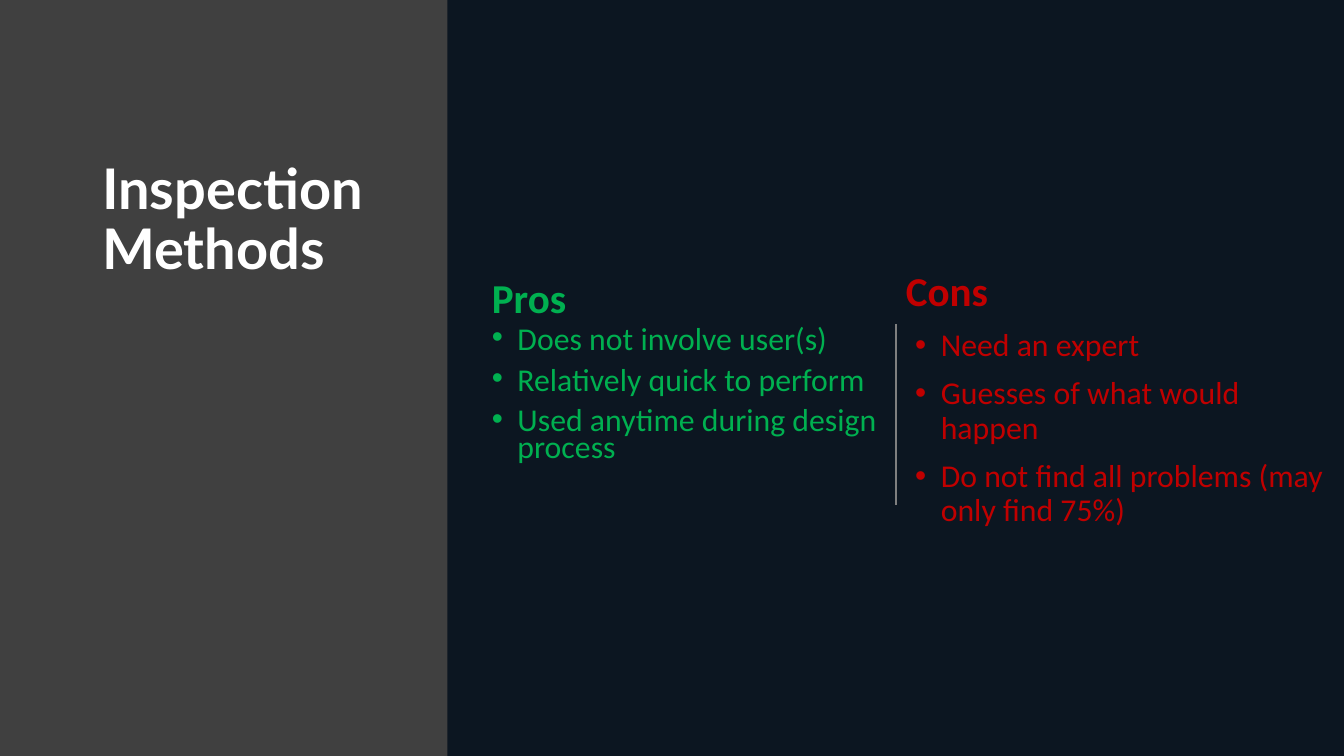
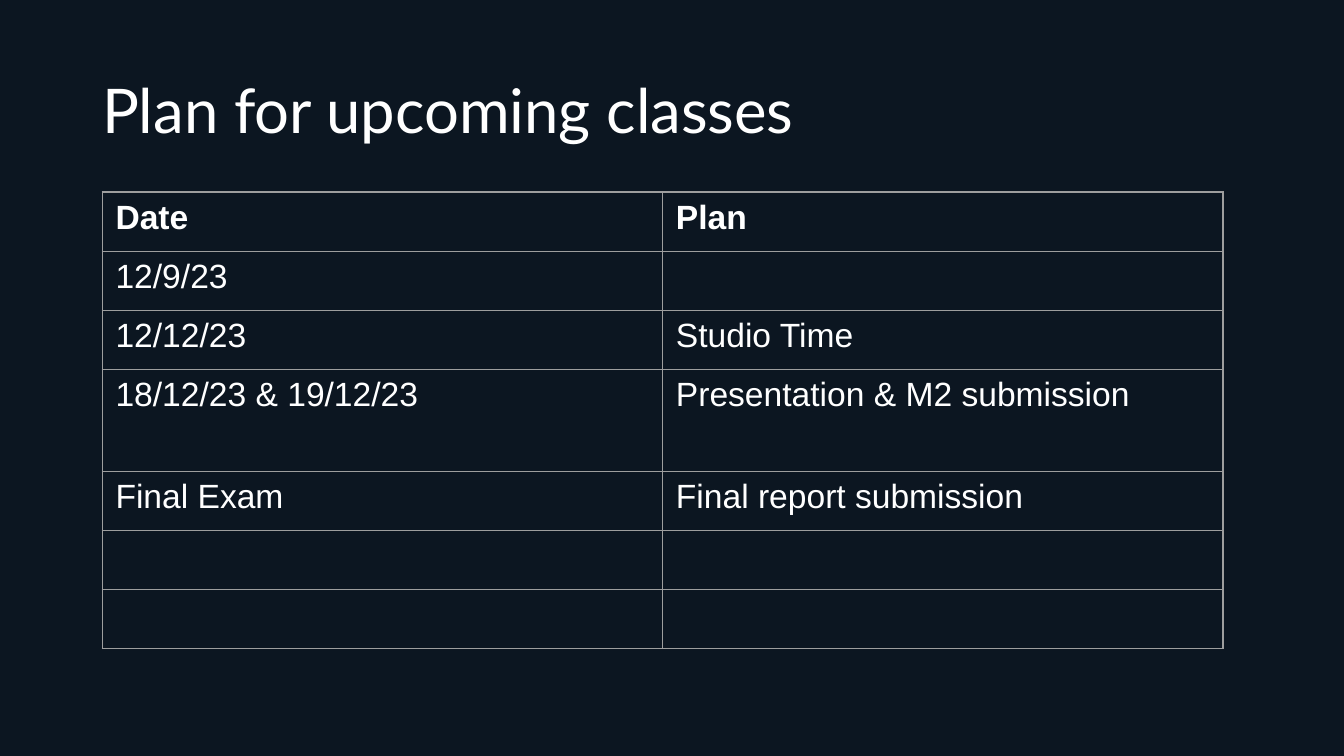
from dataclasses import dataclass

from lxml import etree
from pptx import Presentation
from pptx import util as u
from pptx.dml.color import RGBColor
from pptx.enum import shapes, text
from pptx.oxml import ns

COLUMNS, ROWS = 100, 50
TITLE_ONLY = 5


@dataclass(frozen=True)
class Theme:
    background: str = "0C1621"
    band: str = "404040"
    light: str = "FFFFFF"
    pros: str = "00B050"
    cons: str = "C00000"
    divider: str = "7F7F7F"
    border: str = "9E9E9E"
    title_font: str = "Lato"
    body_font: str = "Calibri"
    table_font: str = "Arial"
    side_title: float = 30
    top_title: float = 33
    heading: float = 22
    body: float = 17
    cell: float = 18


def rgb(color):
    return RGBColor.from_string(color)


def assign(target, values):
    for name, value in values.items():
        setattr(target, name, value)


def add_child(parent, tag, **attributes):
    return etree.SubElement(parent, ns.qn(tag), attributes)


class Deck:
    """Holds the theme, the presentation and the slide being filled."""

    def __init__(self, theme):
        self.theme = theme
        self.presentation = Presentation()
        assign(self.presentation, {"slide_width": u.Inches(10), "slide_height": u.Inches(5.625)})
        fill = self.presentation.slide_master.background.fill
        fill.solid()
        fill.fore_color.rgb = rgb(theme.background)
        self.slide = None

    def x(self, columns):
        return round(self.presentation.slide_width * columns / COLUMNS)

    def y(self, rows):
        return round(self.presentation.slide_height * rows / ROWS)

    def box(self, left, top, width, height):
        return self.x(left), self.y(top), self.x(width), self.y(height)

    def new_slide(self):
        layout = self.presentation.slide_layouts[TITLE_ONLY]
        self.slide = self.presentation.slides.add_slide(layout)

    def add_words(self, paragraph, words, font, size, color, bold=False):
        run = paragraph.add_run()
        run.text = words
        assign(run.font, {"name": font, "size": u.Pt(size), "bold": bold})
        run.font.color.rgb = rgb(color)

    def frame(self, shape, anchor=text.MSO_ANCHOR.TOP):
        assign(shape.text_frame, {
            "word_wrap": True, "auto_size": text.MSO_AUTO_SIZE.NONE, "vertical_anchor": anchor,
            "margin_left": u.Inches(0.07), "margin_right": u.Inches(0.07),
            "margin_top": u.Inches(0.04), "margin_bottom": u.Inches(0.04),
        })
        return shape.text_frame

    def title(self, words, area, size, bold=False, anchor=text.MSO_ANCHOR.TOP):
        shape = self.slide.shapes.title
        assign(shape, dict(zip(("left", "top", "width", "height"), self.box(*area))))
        paragraph = self.frame(shape, anchor).paragraphs[0]
        assign(paragraph, {"alignment": text.PP_ALIGN.LEFT, "line_spacing": 0.9})
        self.add_words(paragraph, words, self.theme.title_font, size, self.theme.light, bold)

    def band(self, width):
        """Fill the left side of the slide, behind the title."""
        shape = self.slide.shapes.add_shape(
            shapes.MSO_SHAPE.RECTANGLE, *self.box(0, 0, width, ROWS))
        shape.shadow.inherit = False
        shape.fill.solid()
        shape.fill.fore_color.rgb = rgb(self.theme.band)
        shape.line.fill.background()
        self.slide.shapes.title.element.addprevious(shape.element)

    def divider(self, column, top, bottom):
        line = self.slide.shapes.add_connector(
            shapes.MSO_CONNECTOR.STRAIGHT,
            self.x(column), self.y(top), self.x(column), self.y(bottom))
        line.line.color.rgb = rgb(self.theme.divider)
        line.line.width = u.Pt(1)
        add_child(line.element.spPr, "a:effectLst")

    def heading(self, words, area, color):
        paragraph = self.frame(self.slide.shapes.add_textbox(*self.box(*area))).paragraphs[0]
        paragraph.line_spacing = 0.9
        self.add_words(paragraph, words, self.theme.body_font, self.theme.heading, color,
                       bold=True)

    def bullets(self, items, area, color, line_spacing):
        frame = self.frame(self.slide.shapes.add_textbox(*self.box(*area)))
        for index, item in enumerate(items):
            paragraph = frame.add_paragraph() if index else frame.paragraphs[0]
            self.add_bullet(paragraph, color)
            assign(paragraph, {"line_spacing": line_spacing,
                               "space_before": u.Pt(7.5 if index else 0)})
            self.add_words(paragraph, item, self.theme.body_font, self.theme.body, color)

    def add_bullet(self, paragraph, color):
        properties = paragraph._p.get_or_add_pPr()
        indent = u.Inches(0.19)
        properties.set("marL", str(indent))
        properties.set("indent", str(-indent))
        add_child(add_child(properties, "a:buClr"), "a:srgbClr", val=color)
        add_child(properties, "a:buFont", typeface="Arial")
        add_child(properties, "a:buChar", char="•")

    def table(self, entries, left, top, column_width, row_heights):
        columns = len(entries[0])
        area = self.box(left, top, column_width * columns, sum(row_heights))
        table = self.slide.shapes.add_table(len(entries), columns, *area).table
        assign(table, {"first_row": False, "horz_banding": False})
        for column in table.columns:
            column.width = self.x(column_width)
        for row_index, (row, height, words) in enumerate(zip(table.rows, row_heights, entries)):
            row.height = self.y(height)
            for cell, entry in zip(row.cells, words):
                self.add_borders(cell)
                cell.fill.background()
                if entry:
                    self.add_words(cell.text_frame.paragraphs[0], entry, self.theme.table_font,
                                   self.theme.cell, self.theme.light, bold=row_index == 0)

    def add_borders(self, cell):
        properties = cell._tc.get_or_add_tcPr()
        for side in ("a:lnL", "a:lnR", "a:lnT", "a:lnB"):
            line = add_child(properties, side, w=str(u.Pt(0.75)))
            add_child(add_child(line, "a:solidFill"), "a:srgbClr", val=self.theme.border)


def add_inspection_methods(deck):
    theme = deck.theme
    list_top, list_height, heading_height = 21.42, 11.38, 3.38
    pros_left, column_width = 35.9, 30.8
    middle = pros_left + column_width
    deck.new_slide()
    deck.title("Inspection Methods", (6.9, 10.3, 23.8, 31.8), theme.side_title, bold=True)
    deck.band(33.3)
    deck.divider(middle, list_top, 33.42)
    deck.bullets(
        ["Need an expert", "Guesses of what would happen",
         "Do not find all problems (may only find 75%)"],
        (67.4, list_top, 33.3, list_height), theme.cons, line_spacing=0.9)
    deck.heading("Cons", (middle, 17.6, column_width, heading_height), theme.cons)
    deck.bullets(
        ["Does not involve user(s)", "Relatively quick to perform",
         "Used anytime during design process"],
        (pros_left, list_top, column_width, list_height), theme.pros, line_spacing=0.7)
    deck.heading("Pros", (pros_left, 18.04, column_width, heading_height), theme.pros)


def add_class_plan(deck):
    row, tall_row = 3.91, 6.76
    deck.new_slide()
    deck.title("Plan for upcoming classes", (6.9, 2.67, 86.2, 9.7), deck.theme.top_title,
               anchor=text.MSO_ANCHOR.MIDDLE)
    deck.table(
        [("Date", "Plan"),
         ("12/9/23", ""),
         ("12/12/23", "Studio Time"),
         ("18/12/23 & 19/12/23", "Presentation & M2 submission"),
         ("Final Exam", "Final report submission"),
         ("", ""),
         ("", "")],
        left=7.6, top=12.7, column_width=41.7,
        row_heights=[row] * 3 + [tall_row] + [row] * 3)


def main():
    deck = Deck(Theme())
    add_inspection_methods(deck)
    add_class_plan(deck)
    deck.presentation.save("out.pptx")


if __name__ == "__main__":
    main()
